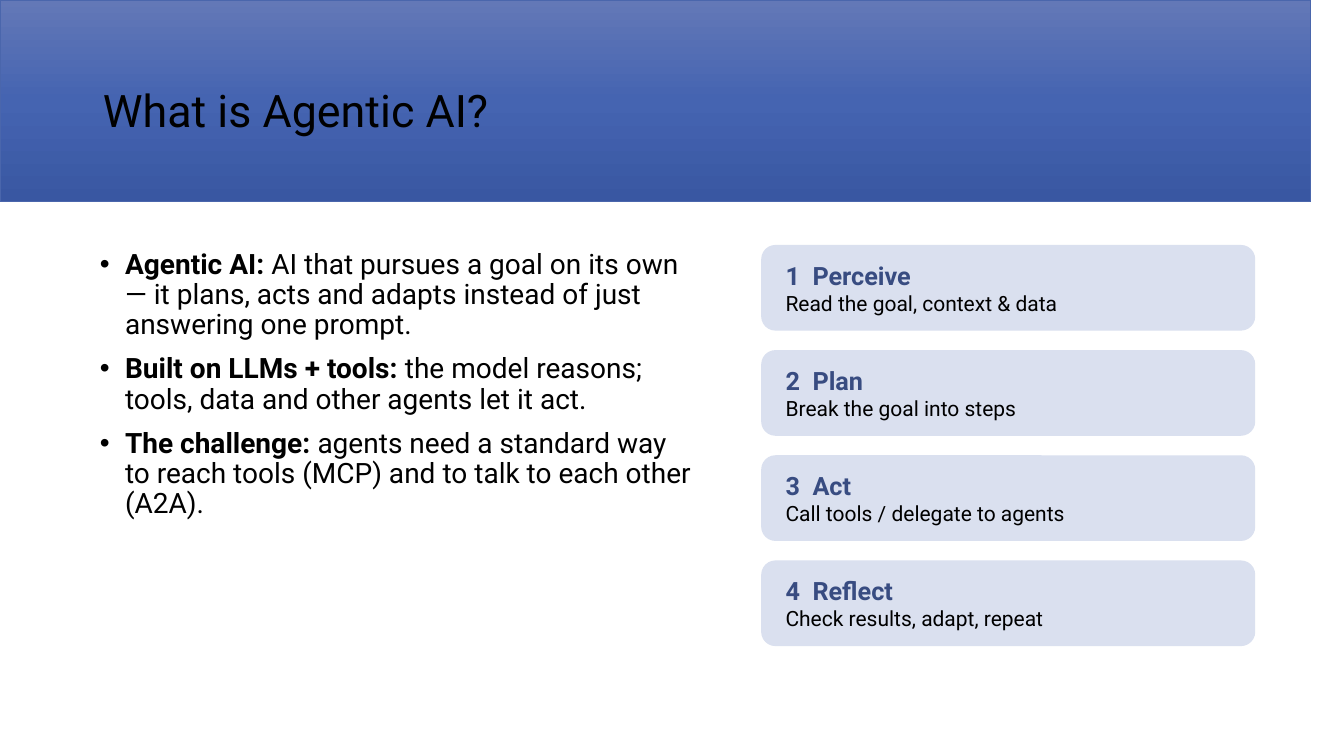
from copy import deepcopy

from lxml.etree import SubElement
from pptx import Presentation
from pptx.dml.color import RGBColor
from pptx.enum.shapes import MSO_SHAPE as Shape
from pptx.enum.text import MSO_ANCHOR as Anchor, MSO_AUTO_SIZE as AutoSize, PP_ALIGN as Align
from pptx.oxml.ns import qn
from pptx.util import Inches, Pt

FONT = "Roboto"
WHITE = RGBColor(0xFF, 0xFF, 0xFF)
TEXT = RGBColor(0x00, 0x00, 0x00)
HEADING = RGBColor(0x38, 0x4C, 0x81)
CARD_FILL = RGBColor(0xDA, 0xE0, 0xEF)
BAND_LINE = RGBColor(0x4A, 0x66, 0xAC)
BAND_STOPS = [
    (0, RGBColor(0x63, 0x78, 0xB7)),
    (0.5, RGBColor(0x45, 0x64, 0xB1)),
    (1, RGBColor(0x39, 0x57, 0xA2)),
]

WIDTH, HEIGHT = 13.33, 7.5
BAND_BOTTOM = 2.06
POINTER = [(2.18, BAND_BOTTOM), (2.6, 2.38), (2.62, 2.39), (2.65, 2.39),
           (2.67, 2.39), (2.7, 2.38), (3.11, BAND_BOTTOM)]

POINTS = [
    ("Agentic AI:", " AI that pursues a goal on its own — it plans, acts and adapts "
                    "instead of just answering one prompt."),
    ("Built on LLMs + tools:", " the model reasons; tools, data and other agents let it act."),
    ("The challenge:", " agents need a standard way to reach tools (MCP) and to talk "
                       "to each other (A2A)."),
]
STEPS = [
    ("Perceive", "Read the goal, context & data"),
    ("Plan", "Break the goal into steps"),
    ("Act", "Call tools / delegate to agents"),
    ("Reflect", "Check results, adapt, repeat"),
]


def set_all(target, values):
    for name, value in values.items():
        setattr(target, name, value)


def place(shape, box):
    set_all(shape, dict(zip(("left", "top", "width", "height"), map(Inches, box))))


def add_run(paragraph, text, size, bold=False, color=TEXT):
    run = paragraph.add_run()
    run.text = text
    set_all(run.font, {"name": FONT, "size": Pt(size), "bold": bold})
    run.font.color.rgb = color


def add_band(slide):
    """Gradient header band with a pointer on its lower edge."""
    builder = slide.shapes.build_freeform(0, 0, scale=Inches(1))
    builder.add_line_segments([(0, BAND_BOTTOM), *POINTER, (WIDTH, BAND_BOTTOM), (WIDTH, 0)])
    band = builder.convert_to_shape()
    band.shadow.inherit = False
    band.line.color.rgb = BAND_LINE
    band.line.width = Pt(1)

    # The default gradient has two stops; a third is added
    band.fill.gradient()
    band.fill.gradient_angle = 270
    stop_list = band._element.spPr.find(".//" + qn("a:gsLst"))
    stop_list.append(deepcopy(stop_list[0]))
    for stop, (position, color) in zip(band.fill.gradient_stops, BAND_STOPS):
        stop.position = position
        stop.color.rgb = color

    # Behind the placeholders
    slide.shapes._spTree.insert(2, band._element)


def fill_title(slide, box):
    title = slide.shapes.title
    place(title, box)
    set_all(title.text_frame, {"vertical_anchor": Anchor.MIDDLE, "word_wrap": True,
                               "auto_size": AutoSize.NONE})
    paragraph = title.text_frame.paragraphs[0]
    set_all(paragraph, {"alignment": Align.LEFT, "line_spacing": 0.9})
    add_run(paragraph, "What is Agentic AI?", 32)


def fill_points(slide, box):
    """Bulleted list with bold lead-ins."""
    body = slide.placeholders[1]
    place(body, box)
    frame = body.text_frame
    set_all(frame, {"word_wrap": True, "auto_size": AutoSize.NONE, "vertical_anchor": Anchor.TOP})
    for index, (lead, detail) in enumerate(POINTS):
        paragraph = frame.add_paragraph() if index else frame.paragraphs[0]
        set_all(paragraph, {"line_spacing": 0.9, "space_before": Pt(10 if index else 0)})
        properties = paragraph._p.get_or_add_pPr()
        properties.set("marL", str(Inches(0.25)))
        properties.set("indent", str(Inches(-0.25)))
        SubElement(properties, qn("a:buFont"), typeface="Arial")
        SubElement(properties, qn("a:buChar"), char="•")
        add_run(paragraph, lead, 20, bold=True)
        add_run(paragraph, detail, 20)


def add_card(slide, box, heading, detail):
    card = slide.shapes.add_shape(Shape.ROUNDED_RECTANGLE, *map(Inches, box))
    card.shadow.inherit = False
    card.fill.solid()
    card.fill.fore_color.rgb = CARD_FILL
    card.line.fill.background()
    frame = card.text_frame
    set_all(frame, {"word_wrap": True, "vertical_anchor": Anchor.MIDDLE,
                    "margin_left": Inches(0.2), "margin_right": Inches(0.1),
                    "margin_top": Inches(0.05), "margin_bottom": Inches(0.05)})
    first, second = frame.paragraphs[0], frame.add_paragraph()
    first.alignment = second.alignment = Align.LEFT
    add_run(first, heading, 18, bold=True, color=HEADING)
    add_run(second, detail, 15)


def add_steps(slide, box, card_height=0.85):
    """Numbered cards spread evenly over the box."""
    left, top, width, height = box
    pitch = (height - card_height) / (len(STEPS) - 1)
    for index, (name, detail) in enumerate(STEPS):
        card_box = (left, top + index * pitch, width, card_height)
        add_card(slide, card_box, f"{index + 1}  {name}", detail)


def main():
    presentation = Presentation()
    presentation.slide_width = Inches(WIDTH)
    presentation.slide_height = Inches(HEIGHT)
    slide = presentation.slides.add_slide(presentation.slide_layouts[1])
    slide.background.fill.solid()
    slide.background.fill.fore_color.rgb = WHITE

    add_band(slide)
    fill_title(slide, (0.92, 0.4, 11.5, 1.45))
    fill_points(slide, (0.89, 2.43, 6.12, 3.98))
    add_steps(slide, (7.55, 2.43, 4.9, 3.98))
    presentation.save("out.pptx")


if __name__ == "__main__":
    main()
